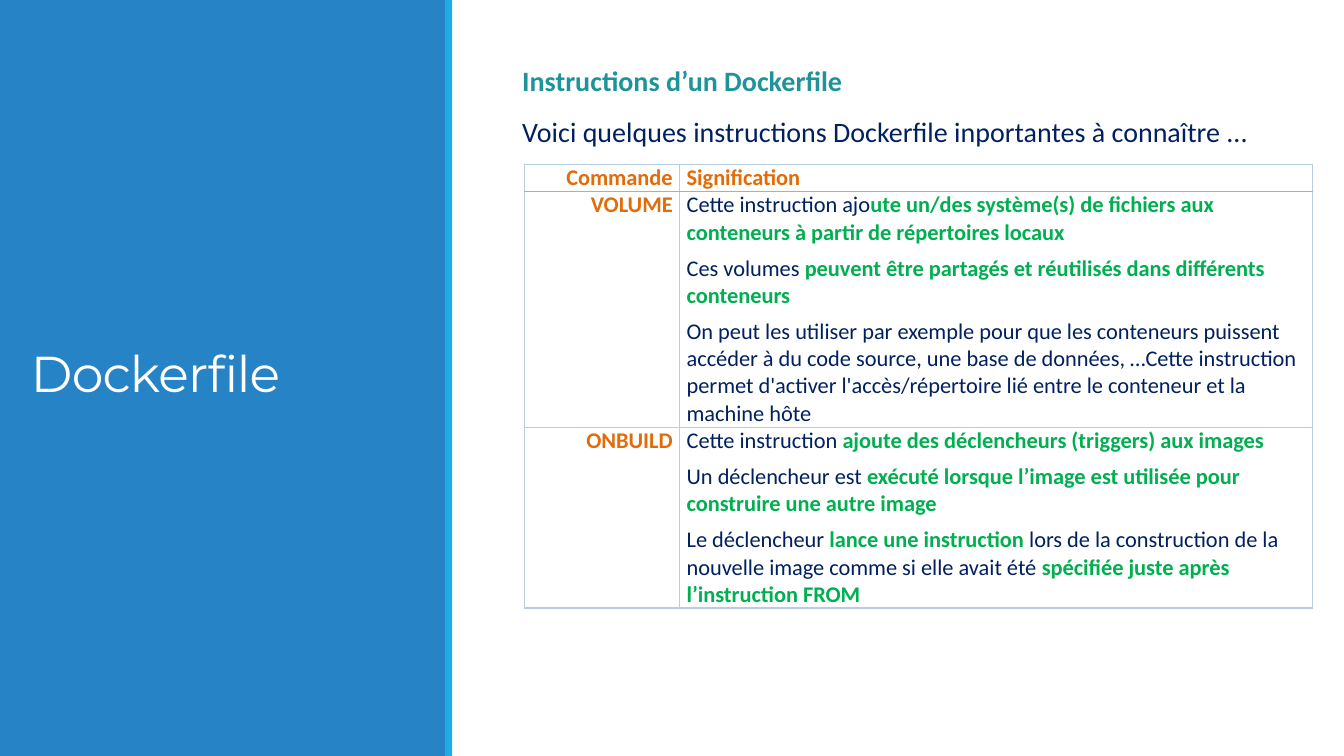
from lxml import etree
from pptx import Presentation
from pptx.dml.color import RGBColor
from pptx.enum.shapes import MSO_SHAPE
from pptx.enum.text import MSO_ANCHOR, PP_ALIGN
from pptx.oxml.ns import qn
from pptx.util import Pt

RECTANGLE = MSO_SHAPE.RECTANGLE
TOP, MIDDLE = MSO_ANCHOR.TOP, MSO_ANCHOR.MIDDLE
LEFT, RIGHT = PP_ALIGN.LEFT, PP_ALIGN.RIGHT

COLORS = {
    "panel": "2683C6",
    "stripe": "1CADE4",
    "title": "FFFFFF",
    "heading": "1E9399",
    "body": "002060",
    "strong": "00B050",
    "command": "E36C0A",
    "border": "B8CCE4",
    "header_border": "95B3D7",
}
BOLD_STYLES = {"heading", "strong", "command"}

# Each cell is a list of paragraphs; each paragraph is a list of (text, style) runs.
ROWS = [
    (
        [[("Commande", "command")]],
        [[("Signification", "command")]],
    ),
    (
        [[("VOLUME", "command")]],
        [
            [("Cette instruction ajo", "body"),
             ("ute un/des système(s) de fichiers aux conteneurs à partir de "
              "répertoires locaux ", "strong")],
            [("Ces volumes ", "body"),
             ("peuvent être partagés et réutilisés dans différents conteneurs", "strong")],
            [("On peut les utiliser par exemple pour que les conteneurs puissent accéder "
              "à du code source, une base de données, …Cette instruction permet d'activer "
              "l'accès/répertoire lié entre le conteneur et la machine hôte", "body")],
        ],
    ),
    (
        [[("ONBUILD", "command")]],
        [
            [("Cette instruction ", "body"),
             ("ajoute des déclencheurs (triggers) aux images", "strong")],
            [("Un déclencheur est ", "body"),
             ("exécuté lorsque l’image est utilisée pour construire une autre image",
              "strong")],
            [("Le déclencheur ", "body"),
             ("lance une instruction", "strong"),
             (" lors de la construction de la nouvelle image comme si elle avait été ",
              "body"),
             ("spécifiée juste après l’instruction FROM", "strong")],
        ],
    ),
]


class SlideBuilder:
    """Holds the text style and the slide being built."""

    def __init__(self, slide, font="Calibri"):
        """Keep the slide and its default font."""
        self.slide = slide
        self.font = font

    def rectangle(self, left, top, width, height, color):
        """Add a plain filled rectangle."""
        shape = self.slide.shapes.add_shape(
            RECTANGLE, Pt(left), Pt(top), Pt(width), Pt(height))
        shape.shadow.inherit = False
        shape.fill.solid()
        shape.fill.fore_color.rgb = RGBColor.from_string(COLORS[color])
        shape.line.fill.background()

    def fill_text(self, frame, paragraphs, size, align=LEFT, after=0, line=1.0,
                  font=None, tracking=0):
        """Fill a text frame with paragraphs of styled runs."""
        for index, runs in enumerate(paragraphs):
            paragraph = frame.add_paragraph() if index else frame.paragraphs[0]
            paragraph.alignment = align
            paragraph.space_after = Pt(after)
            paragraph.line_spacing = line
            for text, style in runs:
                run = paragraph.add_run()
                run.text = text
                run.font.name = font or self.font
                run.font.size = Pt(size)
                run.font.bold = style in BOLD_STYLES
                run.font.color.rgb = RGBColor.from_string(COLORS[style])
                if tracking:
                    run._r.get_or_add_rPr().set("spc", str(round(tracking * 100)))

    def text_box(self, left, top, width, height, paragraphs, size,
                 anchor=TOP, inset=0, **style):
        """Add a wrapping text box."""
        box = self.slide.shapes.add_textbox(
            Pt(left), Pt(top), Pt(width), Pt(height))
        frame = box.text_frame
        frame.word_wrap = True
        frame.vertical_anchor = anchor
        frame.margin_left = frame.margin_right = Pt(inset)
        frame.margin_top = frame.margin_bottom = Pt(0)
        self.fill_text(frame, paragraphs, size, **style)

    def cell_border(self, cell, side, color, width):
        """Draw one side (L, R, T or B) of a table cell."""
        line = etree.SubElement(cell._tc.get_or_add_tcPr(), qn(f"a:ln{side}"),
                                w=str(Pt(width)))
        fill = etree.SubElement(line, qn("a:solidFill"))
        etree.SubElement(fill, qn("a:srgbClr"), val=COLORS[color])

    def table(self, left, top, column_widths, row_heights, rows, size):
        """Add the command table, with a heavier line below its header."""
        table = self.slide.shapes.add_table(
            len(rows), len(column_widths), Pt(left), Pt(top),
            Pt(sum(column_widths)), Pt(sum(row_heights))).table
        table.first_row = table.horz_banding = False
        for column, width in zip(table.columns, column_widths):
            column.width = Pt(width)
        for row_index, (height, cells) in enumerate(zip(row_heights, rows)):
            table.rows[row_index].height = Pt(height)
            for column_index, paragraphs in enumerate(cells):
                cell = table.cell(row_index, column_index)
                cell.margin_left = cell.margin_right = Pt(5)
                cell.margin_top = cell.margin_bottom = Pt(0)
                for side in "LRTB":
                    below_header = (row_index, side) in {(0, "B"), (1, "T")}
                    color, width = (("header_border", 1.5) if below_header
                                    else ("border", 1))
                    self.cell_border(cell, side, color, width)
                cell.fill.background()
                self.fill_text(cell.text_frame, paragraphs, size, after=6,
                               align=LEFT if column_index else RIGHT)


def main():
    """Build and save the slide."""
    presentation = Presentation()
    presentation.slide_width, presentation.slide_height = Pt(960), Pt(540)
    builder = SlideBuilder(
        presentation.slides.add_slide(presentation.slide_layouts[6]))

    builder.rectangle(0, 0, 319, 540, "panel")
    builder.rectangle(318, 0, 5, 540, "stripe")
    builder.text_box(15, 47.5, 287, 444, [[("Dockerfile", "title")]], 36,
                     anchor=MIDDLE, inset=7.2, line=0.85,
                     font="Montserrat", tracking=-0.5)
    builder.text_box(
        373, 45.5, 564, 64,
        [[("Instructions d’un Dockerfile", "heading")],
         [("Voici quelques instructions Dockerfile inportantes à connaître ...", "body")]],
        20, after=12)
    builder.table(374.5, 117.3, (111, 452), (19.5, 168.5, 129), ROWS, 16)

    presentation.save("out.pptx")


main()
